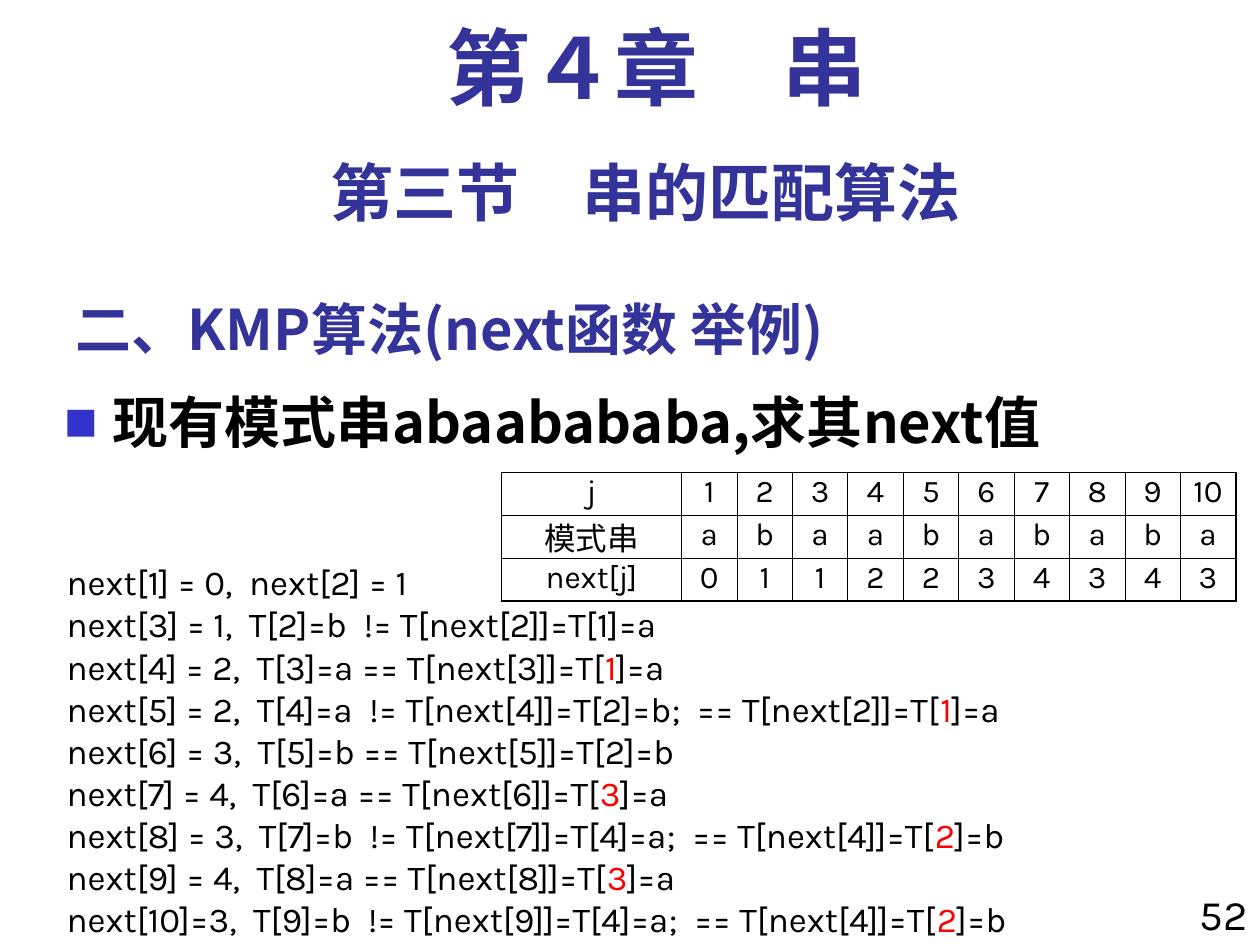
import pptx
import pptx.util
import pptx.dml.color
import pptx.enum.text
import pptx.oxml
import pptx.oxml.ns
from dataclasses import dataclass

Pt = pptx.util.Pt
ALIGN = pptx.enum.text.PP_ALIGN
ANCHOR = pptx.enum.text.MSO_ANCHOR


@dataclass(frozen=True)
class Theme:
    heading: str = "333399"
    body: str = "000000"
    accent: str = "FF0000"
    bullet: str = "3333CC"
    cjk: str = "Noto Sans CJK SC"
    latin: str = "Karla"
    serif: str = "Times New Roman"
    chapter_size: int = 48
    section_size: int = 36
    topic_size: int = 32
    page_size: int = 24
    step_size: int = 20
    table_size: int = 18
    thick: float = 1.08
    thin: float = 0.45


THEME = Theme()

TOPIC = "二、KMP算法(next函数 举例)"
SECTION = "第三节　串的匹配算法"
QUESTION = "现有模式串abaabababa,求其next值"
CHAPTER = "第４章　串"
PAGE = "52"

NEXT_TABLE = [
    ("j", range(1, 11)),
    ("模式串", "abaabababa"),
    ("next[j]", (0, 1, 1, 2, 2, 3, 4, 3, 4, 3)),
]

STEPS = [
    ("next[1] = 0,  next[2] = 1",),
    ("next[3] = 1,  T[2]=b  != T[next[2]]=T[1]=a",),
    ("next[4] = 2,  T[3]=a == T[next[3]]=T[", "1", "]=a"),
    ("next[5] = 2,  T[4]=a  != T[next[4]]=T[2]=b;  == T[next[2]]=T[", "1", "]=a"),
    ("next[6] = 3,  T[5]=b == T[next[5]]=T[2]=b",),
    ("next[7] = 4,  T[6]=a == T[next[6]]=T[", "3", "]=a"),
    ("next[8] = 3,  T[7]=b  != T[next[7]]=T[4]=a;  == T[next[4]]=T[", "2", "]=b"),
    ("next[9] = 4,  T[8]=a == T[next[8]]=T[", "3", "]=a"),
    ("next[10]=3,  T[9]=b  != T[next[9]]=T[4]=a;  == T[next[4]]=T[", "2", "]=b"),
]


def add_element(parent, tag, **attributes):
    element = pptx.oxml.parse_xml(f"<a:{tag} {pptx.oxml.ns.nsdecls('a')}/>")
    for name, value in attributes.items():
        element.set(name, str(value))
    parent.append(element)
    return element


def add_run(paragraph, text, size, color, font=THEME.latin, bold=False):
    run = paragraph.add_run()
    run.text = text
    run.font.size = Pt(size)
    run.font.bold = bold
    run.font.color.rgb = pptx.dml.color.RGBColor.from_string(color)
    run.font.name = font
    add_element(run.font._element, "ea", typeface=THEME.cjk)


def add_box(slide, left, top, width, height, anchor=ANCHOR.TOP):
    shape = slide.shapes.add_textbox(Pt(left), Pt(top), Pt(width), Pt(height))
    frame = shape.text_frame
    frame.word_wrap = True
    frame.vertical_anchor = anchor
    return frame


def add_line(slide, box, text, size, color, font, bold=True,
             align=ALIGN.LEFT, spacing=1.0, anchor=ANCHOR.TOP):
    paragraph = add_box(slide, *box, anchor).paragraphs[0]
    paragraph.alignment = align
    paragraph.line_spacing = spacing
    add_run(paragraph, text, size, color, font, bold)
    return paragraph


def add_bullet(paragraph):
    properties = paragraph._p.get_or_add_pPr()
    properties.set("marL", str(Pt(27)))
    properties.set("indent", str(Pt(-27)))
    color = add_element(properties, "buClr")
    add_element(color, "srgbClr", val=THEME.bullet)
    add_element(properties, "buSzPct", val=60000)
    add_element(properties, "buFont", typeface=THEME.cjk)
    add_element(properties, "buChar", char="■")


def set_borders(cell, outer_sides):
    properties = cell._tc.get_or_add_tcPr()
    for side in "LRTB":
        width = THEME.thick if side in outer_sides else THEME.thin
        line = add_element(properties, f"ln{side}", w=int(Pt(width)))
        add_element(add_element(line, "solidFill"), "srgbClr", val=THEME.body)


def add_next_table(slide, left, top, label_width, value_width, row_height):
    row_count = len(NEXT_TABLE)
    column_count = 1 + len(NEXT_TABLE[0][1])
    width = label_width + value_width * (column_count - 1)
    table = slide.shapes.add_table(
        row_count, column_count, Pt(left), Pt(top), Pt(width), Pt(row_height * row_count)
    ).table
    table.first_row = table.horz_banding = False
    for index, column in enumerate(table.columns):
        column.width = Pt(value_width if index else label_width)
    for row_index, (label, values) in enumerate(NEXT_TABLE):
        table.rows[row_index].height = Pt(row_height)
        for column_index, value in enumerate([label, *values]):
            cell = table.cell(row_index, column_index)
            edges = {"L": column_index == 0, "R": column_index == column_count - 1,
                     "T": row_index == 0, "B": row_index == row_count - 1}
            set_borders(cell, [side for side, is_outer in edges.items() if is_outer])
            cell.fill.background()
            cell.margin_left = cell.margin_right = Pt(3.6)
            paragraph = cell.text_frame.paragraphs[0]
            paragraph.alignment = ALIGN.CENTER
            paragraph.line_spacing = 0.8
            add_run(paragraph, str(value), THEME.table_size, THEME.body)


def add_steps(slide, box):
    frame = add_box(slide, *box)
    for index, parts in enumerate(STEPS):
        paragraph = frame.add_paragraph() if index else frame.paragraphs[0]
        for part_index, text in enumerate(parts):
            color = THEME.accent if part_index == 1 else THEME.body
            add_run(paragraph, text, THEME.step_size, color)


def main():
    presentation = pptx.Presentation()
    presentation.slide_width, presentation.slide_height = Pt(720), Pt(540)
    slide = presentation.slides.add_slide(presentation.slide_layouts[6])

    add_line(slide, (36, 156, 450, 54), TOPIC, THEME.topic_size, THEME.heading,
             THEME.cjk, spacing=0.84, anchor=ANCHOR.BOTTOM)
    add_line(slide, (36, 84, 666, 50.4), SECTION, THEME.section_size, THEME.heading,
             THEME.latin, align=ALIGN.CENTER)
    question = add_line(slide, (30, 222, 666, 72), QUESTION, THEME.topic_size,
                        THEME.body, THEME.cjk, spacing=0.9)
    add_bullet(question)
    add_line(slide, (48, 12, 654, 60), CHAPTER, THEME.chapter_size, THEME.heading,
             THEME.serif, align=ALIGN.CENTER, spacing=0.9)
    add_next_table(slide, 286.5, 270, 103, 31.68, 24.5)
    add_line(slide, (672, 504, 48, 42.5), PAGE, THEME.page_size, THEME.body,
             THEME.latin, bold=False, align=ALIGN.RIGHT)
    add_steps(slide, (31, 317, 689, 223))

    presentation.save("out.pptx")


if __name__ == "__main__":
    main()
